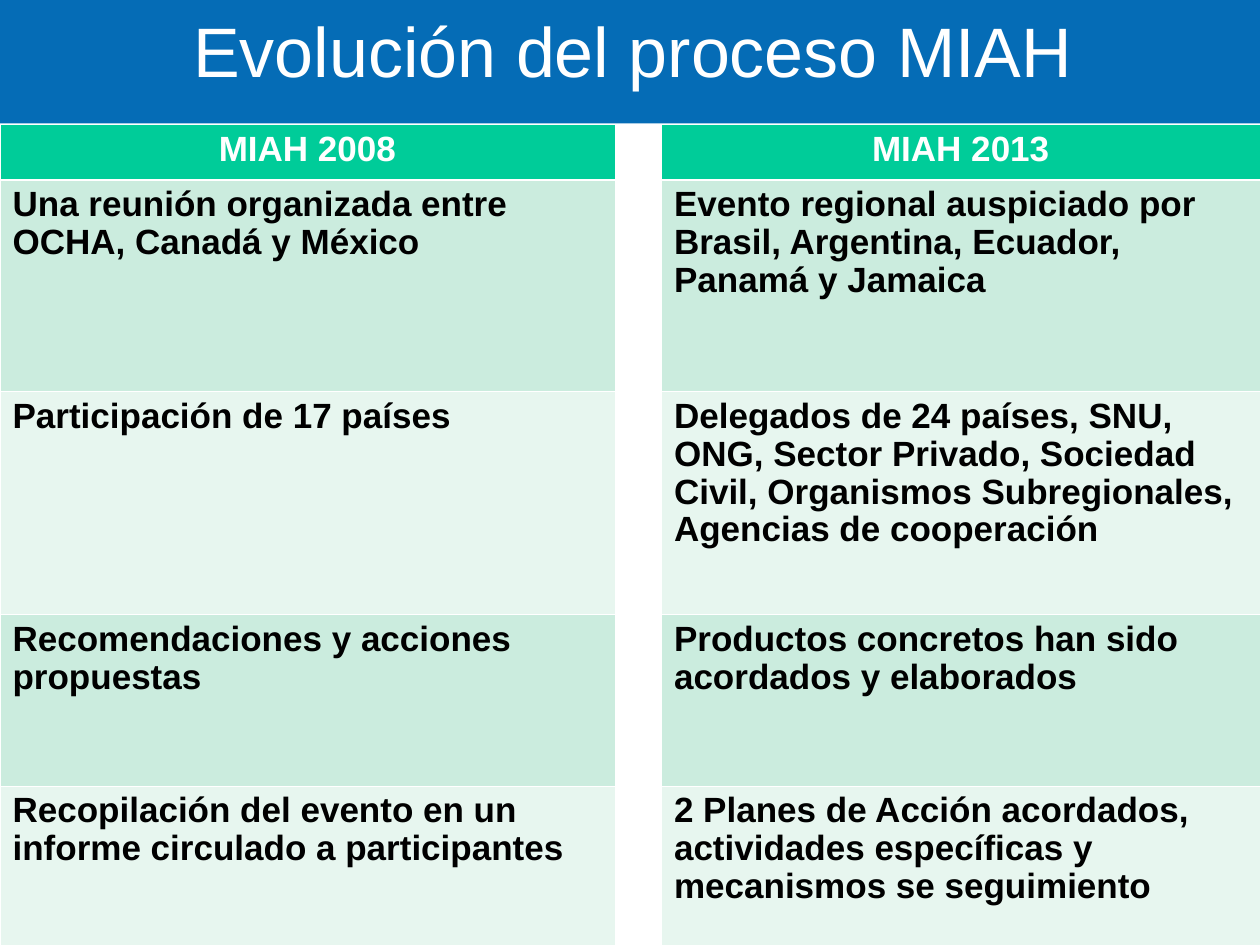
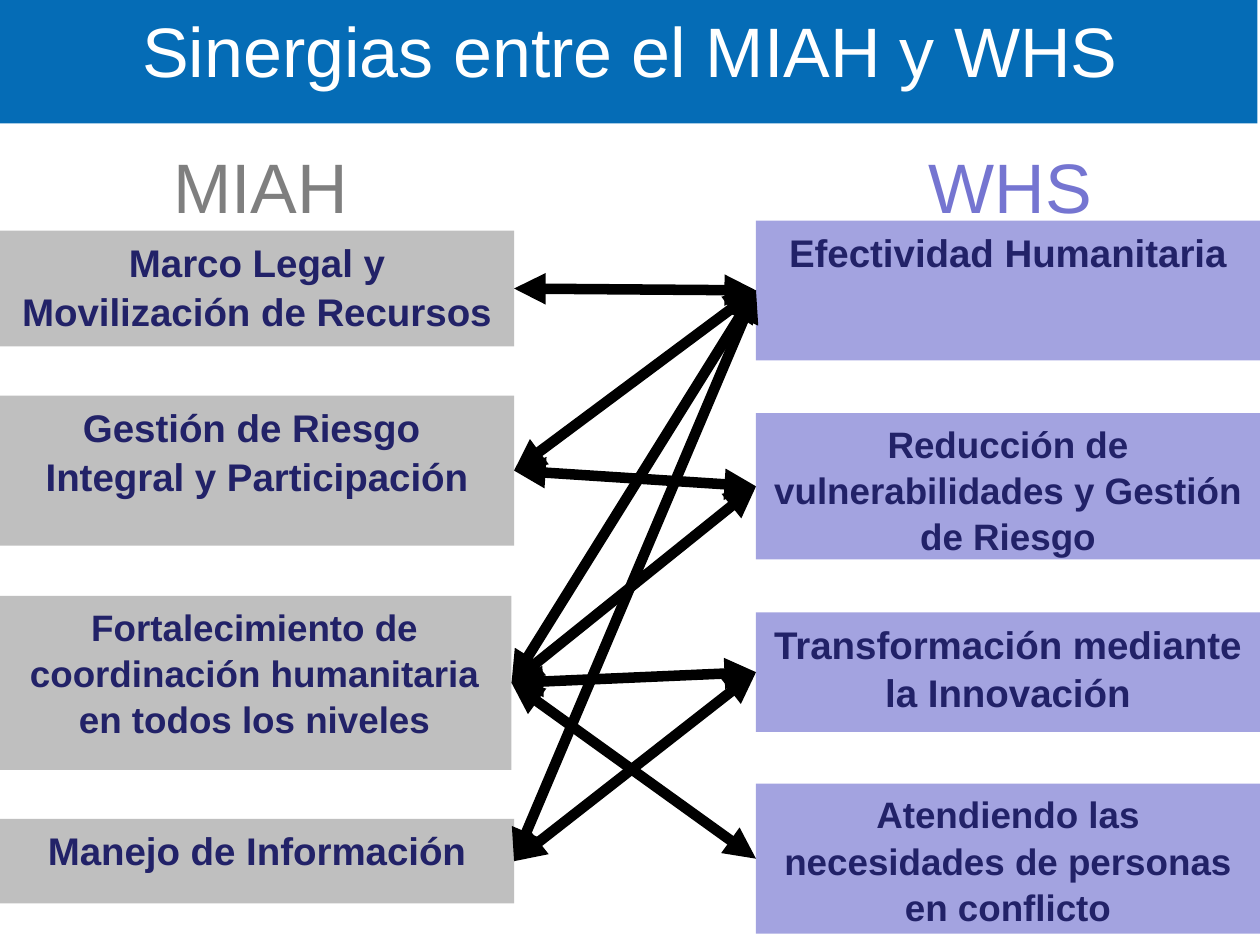
"""Build two slides: the evolution of the MIAH process and its synergies with the WHS."""
from lxml.etree import SubElement
from pptx import Presentation
from pptx.dml.color import RGBColor
from pptx.enum.shapes import MSO_CONNECTOR, MSO_SHAPE
from pptx.enum.text import MSO_ANCHOR, MSO_AUTO_SIZE, PP_ALIGN
from pptx.oxml.ns import qn
from pptx.util import Inches, Pt

COLORS = {
    "white": "FFFFFF",
    "black": "000000",
    "band": "056CB6",
    "header": "00CC99",
    "row_dark": "CBECDE",
    "row_light": "E7F6EF",
    "miah_label": "7F7F7F",
    "miah_box": "BFBFBF",
    "whs_label": "7575D1",
    "whs_box": "A3A3E0",
    "box_text": "222268",
}
FONT = "Arial"
COLUMN_WIDTHS = (4.88, 0.37, 4.75)
ROW_HEIGHTS = (0.44, 1.68, 1.77, 1.36, 1.68)
COMPARISON = (
    ("MIAH 2008", "MIAH 2013"),
    ("Una reunión organizada entre OCHA, Canadá y México",
     "Evento regional auspiciado por Brasil, Argentina, Ecuador, Panamá y Jamaica"),
    ("Participación de 17 países",
     "Delegados de 24 países, SNU, ONG, Sector Privado, Sociedad Civil, "
     "Organismos Subregionales, Agencias de cooperación"),
    ("Recomendaciones y acciones propuestas",
     "Productos concretos han sido acordados y elaborados"),
    ("Recopilación del evento en un informe circulado a participantes",
     "2 Planes de Acción acordados, actividades específicas y mecanismos se seguimiento"),
)
MIAH_TOPICS = (
    (0, 1.83, 4.08, 0.92, 22, "Marco Legal y Movilización de Recursos"),
    (0, 3.14, 4.08, 1.19, 22, "Gestión de Riesgo \nIntegral y Participación"),
    (-0.02, 4.73, 4.08, 1.38, 21,
     "Fortalecimiento de coordinación humanitaria en todos los niveles"),
    (0, 6.5, 4.08, 0.67, 22, "Manejo de Información"),
)
WHS_TOPICS = (
    (6, 1.75, 4, 1.11, 22, "Efectividad Humanitaria"),
    (6, 3.28, 4, 1.16, 21, "Reducción de vulnerabilidades y Gestión de Riesgo"),
    (6, 4.86, 4, 0.95, 22, "Transformación mediante la Innovación"),
    (6, 6.22, 4, 1.19, 21, "Atendiendo las necesidades de personas en conflicto"),
)
SYNERGIES = ((0, 0), (1, 1), (2, 0), (2, 1), (2, 2), (2, 3), (3, 0), (3, 2), (1, 0))


def color(name):
    """Return the named palette colour."""
    return RGBColor.from_string(COLORS[name])


def paint(target, name):
    """Give a shape or cell a solid fill."""
    target.fill.solid()
    target.fill.fore_color.rgb = color(name)


def format_text(frame, size, color_name, align, bold=False, spacing=1.0):
    """Format every paragraph of a text frame alike."""
    frame.word_wrap = True
    for paragraph in frame.paragraphs:
        paragraph.alignment = align
        paragraph.line_spacing = spacing
        paragraph.font.name = FONT
        paragraph.font.size = Pt(size)
        paragraph.font.bold = bold
        paragraph.font.color.rgb = color(color_name)


def format_heading(shape, text, color_name):
    """Set a large centred heading at the top of its shape."""
    frame = shape.text_frame
    frame.text = text
    frame.auto_size = MSO_AUTO_SIZE.NONE
    frame.vertical_anchor = MSO_ANCHOR.TOP
    frame.margin_left, frame.margin_top = Inches(0.04), Inches(0.06)
    frame.margin_right = frame.margin_bottom = 0
    format_text(frame, 40, color_name, PP_ALIGN.CENTER)


def add_page(deck, title, left=0):
    """Add a slide with its title in the blue band."""
    page = deck.slides.add_slide(deck.slide_layouts[5])
    band = page.shapes.title
    band.left, band.top = Inches(left), 0
    band.width, band.height = Inches(10), Inches(0.98)
    paint(band, "band")
    format_heading(band, title, "white")
    return page


def add_label(page, left, width, text, color_name):
    """Add the heading over a column of topics."""
    label = page.shapes.add_textbox(Inches(left), Inches(1.08), Inches(width), Inches(0.58))
    format_heading(label, text, color_name)


def add_topic(page, topic, fill):
    """Add a filled rectangle holding one topic."""
    *place, size, text = topic
    box = page.shapes.add_shape(MSO_SHAPE.RECTANGLE, *map(Inches, place))
    box.shadow.inherit = False
    paint(box, fill)
    box.line.fill.background()
    frame = box.text_frame
    frame.text = text
    frame.vertical_anchor = MSO_ANCHOR.TOP
    format_text(frame, size, "box_text", PP_ALIGN.CENTER, bold=True, spacing=1.05)
    return box


def add_double_arrow(page, start, end):
    """Join the right side of one box to the left side of another."""
    arrow = page.shapes.add_connector(MSO_CONNECTOR.STRAIGHT, 0, 0, 0, 0)
    arrow.begin_connect(start, 3)
    arrow.end_connect(end, 1)
    arrow.line.width = Pt(6)
    arrow.line.color.rgb = color("black")
    line = arrow.line._get_or_add_ln()
    for tag in ("a:headEnd", "a:tailEnd"):
        SubElement(line, qn(tag), type="triangle")
    SubElement(arrow._element.spPr, qn("a:effectLst"))


def add_border(cell, side, points):
    """Draw a white line on one side of a cell."""
    properties = cell._tc.get_or_add_tcPr()
    line = SubElement(properties, qn(f"a:ln{side}"), w=str(Pt(points)))
    fill = SubElement(line, qn("a:solidFill"))
    SubElement(fill, qn("a:srgbClr"), val=COLORS["white"])


def format_cell(cell, row, column):
    """Apply the borders, fill and text style of a table cell."""
    header = row == 0
    thick = {"T": row == 1, "B": header}
    for side in "LRTB":
        add_border(cell, side, 1.47 if thick.get(side) else 0.45)
    row_fill = "header" if header else ("row_light", "row_dark")[row % 2]
    paint(cell, "white" if column == 1 else row_fill)
    format_text(cell.text_frame, 20, "white" if header else "black",
                PP_ALIGN.CENTER if header else PP_ALIGN.LEFT, bold=True, spacing=0.97)


def add_comparison(page):
    """Add the two-year table with a blank column between the years."""
    table = page.shapes.add_table(
        len(ROW_HEIGHTS), len(COLUMN_WIDTHS), 0, Inches(0.99),
        Inches(sum(COLUMN_WIDTHS)), Inches(sum(ROW_HEIGHTS))).table
    table.horz_banding = False
    for column, width in zip(table.columns, COLUMN_WIDTHS):
        column.width = Inches(width)
    for row, (height, (before, after)) in enumerate(zip(ROW_HEIGHTS, COMPARISON)):
        table.rows[row].height = Inches(height)
        for column, text in enumerate((before, "", after)):
            cell = table.cell(row, column)
            cell.text = text
            format_cell(cell, row, column)


def main():
    """Build and save the deck."""
    deck = Presentation()
    deck.slide_width, deck.slide_height = Inches(10), Inches(7.5)

    add_comparison(add_page(deck, "Evolución del proceso MIAH"))

    page = add_page(deck, "Sinergias entre el MIAH y WHS", left=-0.02)
    add_label(page, 0.02, 4.06, "MIAH", "miah_label")
    add_label(page, 6, 4, "WHS", "whs_label")
    miah_boxes = [add_topic(page, topic, "miah_box") for topic in MIAH_TOPICS]
    whs_boxes = [add_topic(page, topic, "whs_box") for topic in WHS_TOPICS]
    for miah, whs in SYNERGIES:
        add_double_arrow(page, miah_boxes[miah], whs_boxes[whs])

    deck.save("out.pptx")


if __name__ == "__main__":
    main()
